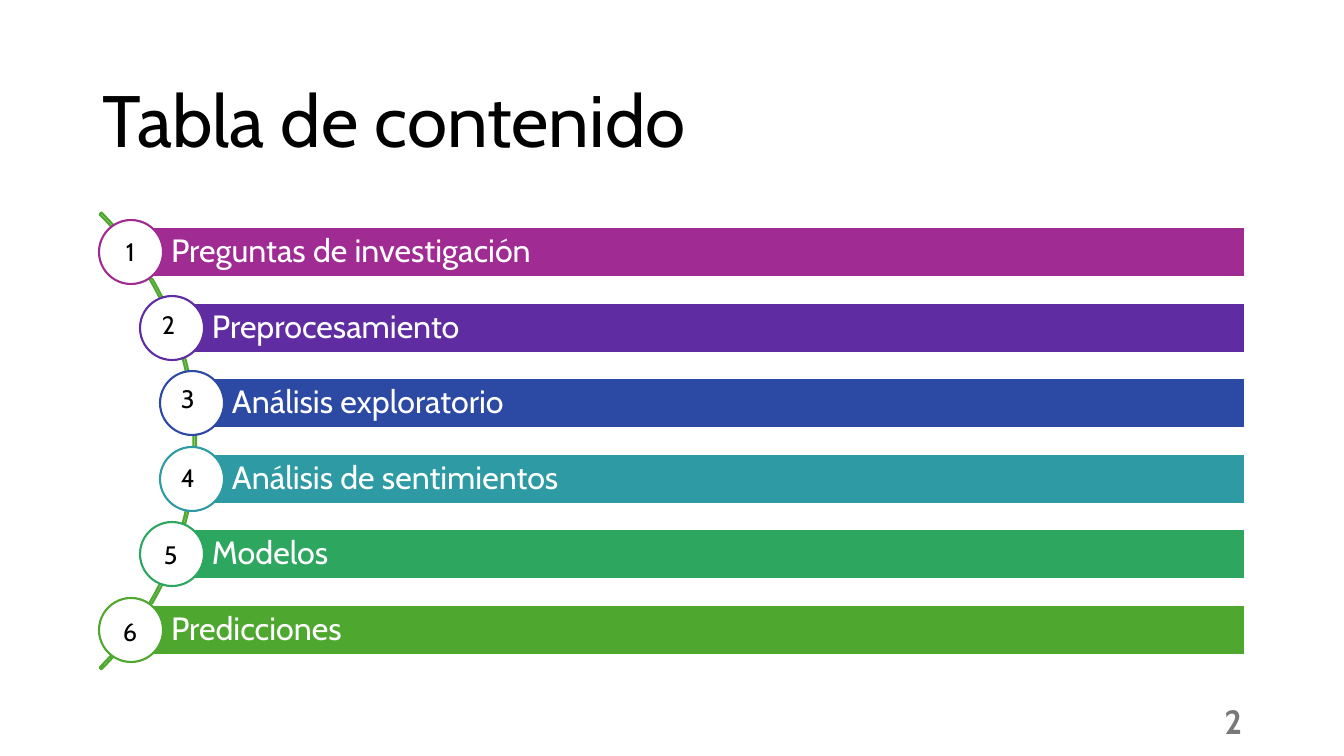
import pptx
import pptx.dml.color
import pptx.enum.shapes
import pptx.enum.text
import pptx.util

RGBColor = pptx.dml.color.RGBColor
Shape = pptx.enum.shapes.MSO_SHAPE
Anchor = pptx.enum.text.MSO_ANCHOR
Align = pptx.enum.text.PP_ALIGN

BLACK = RGBColor(0x00, 0x00, 0x00)
WHITE = RGBColor(0xFF, 0xFF, 0xFF)
GRAY = RGBColor(0x79, 0x79, 0x79)
PURPLE = RGBColor(0xA0, 0x2B, 0x93)
VIOLET = RGBColor(0x5F, 0x2C, 0xA1)
BLUE = RGBColor(0x2C, 0x49, 0xA3)
TEAL = RGBColor(0x2D, 0x9A, 0xA4)
EMERALD = RGBColor(0x2D, 0xA6, 0x5F)
GREEN = RGBColor(0x4E, 0xA7, 0x2E)

EMU_PER_PX = 914400 / 100.8
BAR_RIGHT, FIRST_BAR_TOP, BAR_HEIGHT, BAR_PITCH = 1245, 227, 50, 75.6
CIRCLE_SIZE = 64
SECTIONS = [
    ("Preguntas de investigación", PURPLE, 131, (116, 231)),
    ("Preprocesamiento", VIOLET, 172, (152, 304)),
    ("Análisis exploratorio", BLUE, 192, (171, 378)),
    ("Análisis de sentimientos", TEAL, 192, (171, 457)),
    ("Modelos", EMERALD, 172, (154, 534)),
    ("Predicciones", GREEN, 131, (113, 611)),
]


def px(*lengths):
    return [round(length * EMU_PER_PX) for length in lengths]


class SlideBuilder:
    """Draws styled elements on one slide, with lengths in px."""

    font = "Cabin"
    line_width = pptx.util.Pt(1.5)

    def __init__(self, slide):
        self.slide = slide

    def fill_text(self, frame, text, size, color, bold=False, align=Align.LEFT,
                  anchor=Anchor.MIDDLE, spacing=1.0):
        frame.word_wrap = True
        frame.vertical_anchor = anchor
        paragraph = frame.paragraphs[0]
        paragraph.alignment = align
        paragraph.line_spacing = spacing
        run = paragraph.add_run()
        run.text = text
        run.font.name = self.font
        run.font.size = pptx.util.Pt(size)
        run.font.bold = bold
        run.font.color.rgb = color

    def text(self, box, text, size, color, **style):
        frame = self.slide.shapes.add_textbox(*px(*box)).text_frame
        self.fill_text(frame, text, size, color, **style)

    def shape(self, kind, box, line, fill=None):
        shape = self.slide.shapes.add_shape(kind, *px(*box))
        shape.shadow.inherit = False
        shape.line.color.rgb = line
        shape.line.width = self.line_width
        if fill is None:
            shape.fill.background()
        else:
            shape.fill.solid()
            shape.fill.fore_color.rgb = fill
        return shape

    def arc(self, box, color):
        arc = self.shape(Shape.BLOCK_ARC, box, color)
        for index, value in enumerate((189, 27, 0.004)):
            arc.adjustments[index] = value

    def bar(self, box, label, color):
        frame = self.shape(Shape.RECTANGLE, box, WHITE, color).text_frame
        (frame.margin_left, frame.margin_top,
         frame.margin_right, frame.margin_bottom) = px(40, 6, 6, 6)
        self.fill_text(frame, label, 23, WHITE, spacing=0.9)


def main():
    deck = pptx.Presentation()
    deck.slide_width, deck.slide_height = px(1344, 756)
    contents = SlideBuilder(deck.slides.add_slide(deck.slide_layouts[6]))

    contents.text((93, 61, 1159, 125), "Tabla de contenido", 52, BLACK, spacing=0.9)
    contents.arc((-450, 118, 646, 646), GREEN)
    for index, (label, color, left, number_at) in enumerate(SECTIONS):
        top = round(FIRST_BAR_TOP + index * BAR_PITCH)
        contents.bar((left, top, BAR_RIGHT - left, BAR_HEIGHT), label, color)
        circle_box = (left - CIRCLE_SIZE // 2, top + (BAR_HEIGHT - CIRCLE_SIZE) // 2,
                      CIRCLE_SIZE, CIRCLE_SIZE)
        contents.shape(Shape.OVAL, circle_box, color, WHITE)
        contents.text((*number_at, 38, 40), str(index + 1), 18, BLACK, anchor=Anchor.TOP)
    contents.text((950, 701, 302, 40), "2", 24, GRAY, bold=True, align=Align.RIGHT)

    deck.save("out.pptx")


if __name__ == "__main__":
    main()
